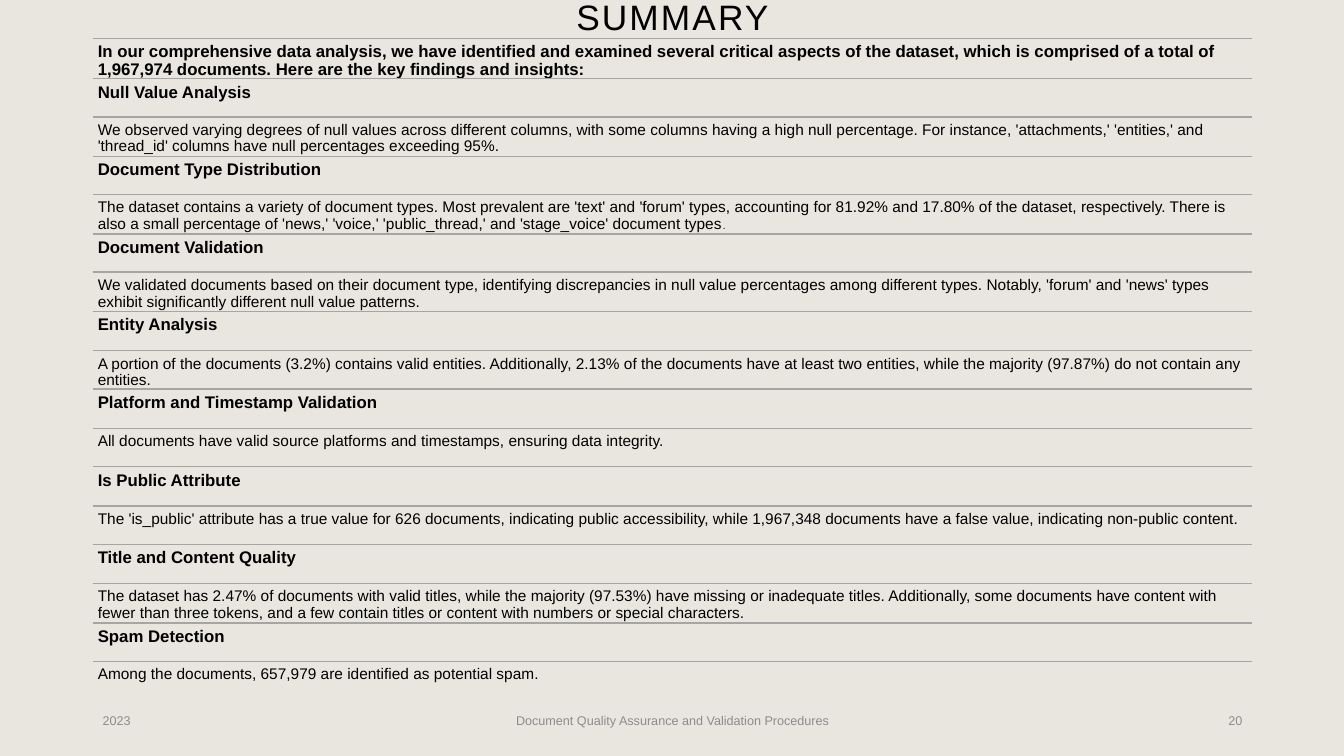
from pptx import Presentation
from pptx import util as u
from pptx.dml.color import RGBColor
from pptx.enum import shapes, text
from pptx.oxml.ns import qn
from lxml import etree

LEFT, WIDTH = 92, 1150
FIRST, STEP = 77.6, 38.57
INTRO = ("In our comprehensive data analysis, we have identified and examined several critical aspects "
         "of the dataset, which is comprised of a total of 1,967,974 documents. "
         "Here are the key findings and insights:")
TOPICS = [
    ("Null Value Analysis",
     "We observed varying degrees of null values across different columns, with some columns having "
     "a high null percentage. For instance, 'attachments,' 'entities,' and 'thread_id' columns have "
     "null percentages exceeding 95%."),
    ("Document Type Distribution",
     "The dataset contains a variety of document types. Most prevalent are 'text' and 'forum' types, "
     "accounting for 81.92% and 17.80% of the dataset, respectively. There is also a small percentage "
     "of 'news,' 'voice,' 'public_thread,' and 'stage_voice' document types", "."),
    ("Document Validation",
     "We validated documents based on their document type, identifying discrepancies in null value "
     "percentages among different types. Notably, 'forum' and 'news' types exhibit significantly "
     "different null value patterns."),
    ("Entity Analysis",
     "A portion of the documents (3.2%) contains valid entities. Additionally, 2.13% of the documents "
     "have at least two entities, while the majority (97.87%) do not contain any entities."),
    ("Platform and Timestamp Validation",
     "All documents have valid source platforms and timestamps, ensuring data integrity."),
    ("Is Public Attribute",
     "The 'is_public' attribute has a true value for 626 documents, indicating public accessibility, "
     "while 1,967,348 documents have a false value, indicating non-public content."),
    ("Title and Content Quality",
     "The dataset has 2.47% of documents with valid titles, while the majority (97.53%) have missing "
     "or inadequate titles. Additionally, some documents have content with fewer than three tokens, "
     "and a few contain titles or content with numbers or special characters."),
    ("Spam Detection",
     "Among the documents, 657,979 are identified as potential spam."),
]
HEAD = {"size": u.Pt(12), "bold": True}
BODY = {"size": u.Pt(11), "bold": False}
DOT = {"size": u.Pt(7), "bold": False}
FOOT = {"size": u.Pt(9)}


def px(n):
    return u.Emu(n * 9144)


def tint(code):
    return RGBColor.from_string(code)


class Deck:
    """Holds the style and the current slide, and draws each kind of element."""

    font, ink, rule, pale, back = "Arial", "000000", "A5A5A5", "8C8C8C", "E9E6DF"

    def __init__(self):
        self.prs = Presentation()
        self.prs.slide_width, self.prs.slide_height = px(1333), px(750)
        self.slide = self.prs.slides.add_slide(self.prs.slide_layouts[5])
        fill = self.slide.background.fill
        fill.solid()
        fill.fore_color.rgb = tint(self.back)

    def label(self, para, words, form, color):
        run = para.add_run()
        run.text = words
        for key, val in {"name": self.font, **form}.items():
            setattr(run.font, key, val)
        run.font.color.rgb = tint(color)
        return run

    def frame(self, shape, form):
        frame = shape.text_frame
        base = {"word_wrap": True, "auto_size": text.MSO_AUTO_SIZE.NONE}
        for key, val in {**base, **form}.items():
            setattr(frame, key, val)
        return frame.paragraphs[0]

    def title(self, words):
        shape = self.slide.shapes.title
        shape.left, shape.top, shape.width, shape.height = map(px, (LEFT, 0, WIDTH, 38))
        para = self.frame(shape, {"vertical_anchor": text.MSO_ANCHOR.MIDDLE})
        para.alignment, para.line_spacing = text.PP_ALIGN.CENTER, 0.9
        run = self.label(para, words, {"size": u.Pt(25.2)}, self.ink)
        run._r.get_or_add_rPr().set("spc", "150")

    def line(self, y):
        line = self.slide.shapes.add_connector(
            shapes.MSO_CONNECTOR.STRAIGHT, px(LEFT), px(y), px(LEFT + WIDTH), px(y))
        line.line.color.rgb = tint(self.rule)
        line.line.width = u.Pt(1)
        etree.SubElement(line._element.spPr, qn("a:effectLst"))

    def row(self, y, high, parts):
        self.line(y)
        box = self.slide.shapes.add_textbox(px(LEFT), px(y), px(WIDTH), px(high))
        sides = ("left", "top", "right", "bottom")
        para = self.frame(box, {f"margin_{side}": px(5) for side in sides})
        para.line_spacing = 0.9
        for words, form in parts:
            self.label(para, words, form, self.ink)

    def foot(self, x, wide, words, align):
        box = self.slide.shapes.add_textbox(px(x), px(695), px(wide), px(40))
        para = self.frame(box, {"vertical_anchor": text.MSO_ANCHOR.MIDDLE})
        para.alignment = align
        self.label(para, words, FOOT, self.pale)


def main():
    deck = Deck()
    deck.title("SUMMARY")
    deck.row(38, 40, [(INTRO, HEAD)])
    for i, (head, *body) in enumerate(TOPICS):
        deck.row(round(FIRST + 2 * i * STEP), 39, [(head, HEAD)])
        deck.row(round(FIRST + (2 * i + 1) * STEP), 39, zip(body, (BODY, DOT)))
    deck.foot(92, 300, "2023", text.PP_ALIGN.LEFT)
    deck.foot(442, 450, "Document Quality Assurance and Validation Procedures", text.PP_ALIGN.CENTER)
    deck.foot(942, 300, "20", text.PP_ALIGN.RIGHT)
    deck.prs.save("out.pptx")


if __name__ == "__main__":
    main()
